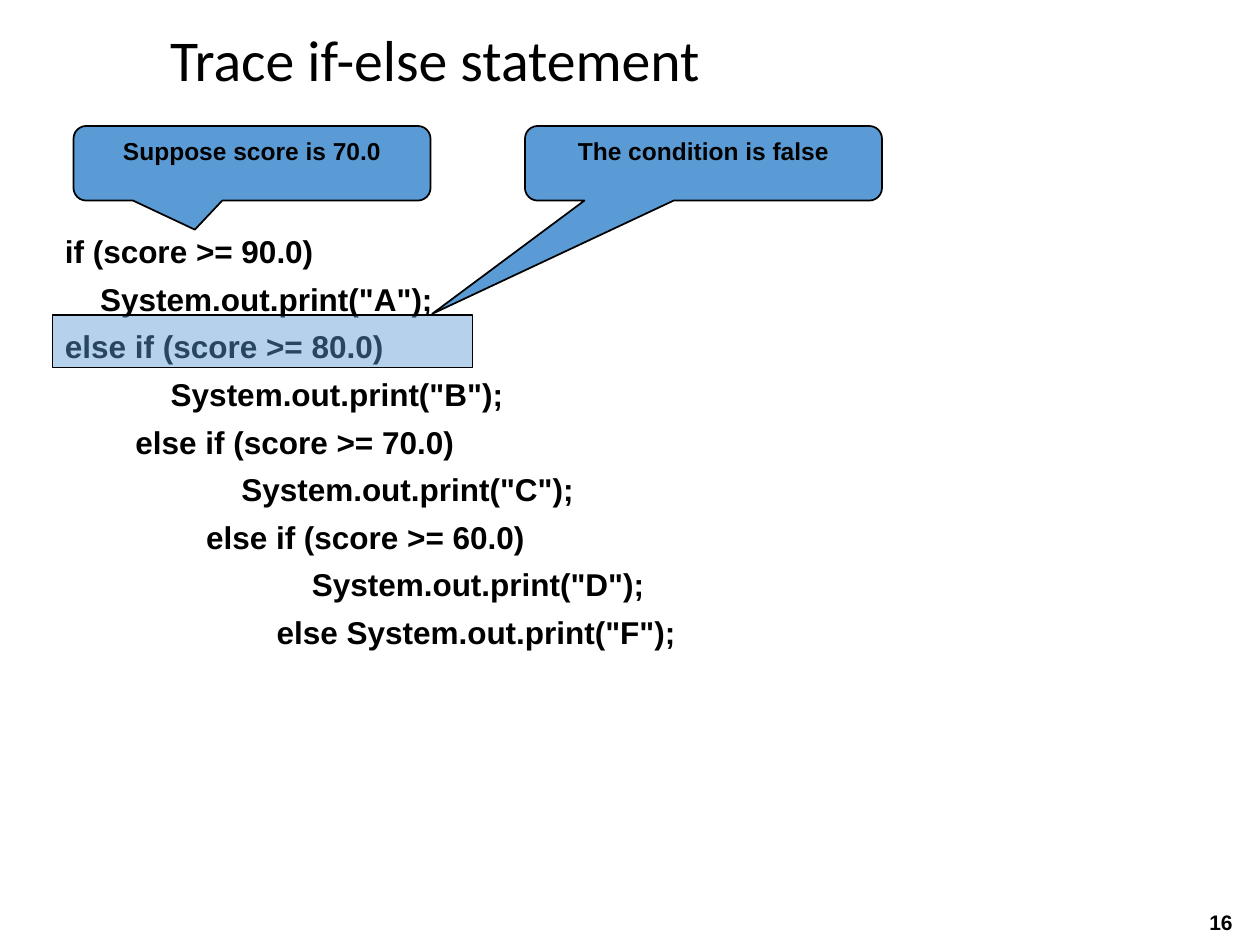
from dataclasses import dataclass

from lxml import etree
from pptx import Presentation, util as u
from pptx.dml.color import RGBColor
from pptx.enum import shapes, text
from pptx.oxml.ns import qn


@dataclass(frozen=True)
class Theme:
    ink: RGBColor = RGBColor.from_string("000000")
    accent: RGBColor = RGBColor.from_string("5B9BD5")
    title_font: str = "Calibri"
    body_font: str = "Arial"
    title_size: int = 33
    code_size: int = 18
    callout_size: int = 14
    number_size: int = 12
    line_width: int = 1


def apply(target, values):
    for name, value in values.items():
        setattr(target, name, value)


class SlideBuilder:
    COLUMNS, ROWS = 24, 18
    INDENT = 0.28

    def __init__(self, presentation, theme):
        self.theme = theme
        self.column = presentation.slide_width / self.COLUMNS
        self.row = presentation.slide_height / self.ROWS
        self.slide = presentation.slides.add_slide(presentation.slide_layouts[5])

    def box(self, left, top, width, height):
        return [round(left * self.column), round(top * self.row),
                round(width * self.column), round(height * self.row)]

    def add_words(self, paragraph, words, size, font=None, bold=True, **layout):
        run = paragraph.add_run()
        run.text = words
        apply(run.font, {"name": font or self.theme.body_font,
                         "size": u.Pt(size), "bold": bold})
        run.font.color.rgb = self.theme.ink
        apply(paragraph, layout)

    def title(self, words, *place):
        shape = self.slide.shapes.title
        apply(shape, dict(zip(("left", "top", "width", "height"), self.box(*place))))
        apply(shape.text_frame, {"vertical_anchor": text.MSO_ANCHOR.MIDDLE,
                                 "auto_size": text.MSO_AUTO_SIZE.NONE})
        self.add_words(shape.text_frame.paragraphs[0], words, self.theme.title_size,
                       self.theme.title_font, False,
                       alignment=text.PP_ALIGN.LEFT, line_spacing=0.9)

    def text_box(self, lines, size, *place, **layout):
        frame = self.slide.shapes.add_textbox(*self.box(*place)).text_frame
        apply(frame, {"word_wrap": True,
                      "auto_size": text.MSO_AUTO_SIZE.SHAPE_TO_FIT_TEXT})
        for index, (level, words) in enumerate(lines):
            paragraph = frame.add_paragraph() if index else frame.paragraphs[0]
            self.add_words(paragraph, words, size, **layout)
            if level:
                margin = u.Inches(level * self.INDENT)
                paragraph._p.get_or_add_pPr().set("marL", str(margin))

    def filled_shape(self, kind, *place):
        shape = self.slide.shapes.add_shape(kind, *self.box(*place))
        shape.shadow.inherit = False
        shape.fill.solid()
        shape.fill.fore_color.rgb = self.theme.accent
        shape.line.color.rgb = self.theme.ink
        shape.line.width = u.Pt(self.theme.line_width)
        return shape

    def callout(self, words, tip, *place):
        shape = self.filled_shape(shapes.MSO_SHAPE.ROUNDED_RECTANGULAR_CALLOUT, *place)
        for index, value in enumerate((*tip, 0.17)):
            shape.adjustments[index] = value
        apply(shape.text_frame, {"word_wrap": True,
                                 "vertical_anchor": text.MSO_ANCHOR.TOP})
        self.add_words(shape.text_frame.paragraphs[0], words, self.theme.callout_size,
                       alignment=text.PP_ALIGN.CENTER)

    def highlight(self, opacity, *place):
        shape = self.filled_shape(shapes.MSO_SHAPE.RECTANGLE, *place)
        color = shape._element.spPr.find(qn("a:solidFill"))[0]
        etree.SubElement(color, qn("a:alpha")).set("val", str(opacity * 1000))


CODE = [
    (0, "if (score >= 90.0)"),
    (1, 'System.out.print("A");'),
    (0, "else if (score >= 80.0)"),
    (3, 'System.out.print("B");'),
    (2, "else if (score >= 70.0)"),
    (5, 'System.out.print("C");'),
    (4, "else if (score >= 60.0)"),
    (7, 'System.out.print("D");'),
    (6, 'else System.out.print("F");'),
]


def main():
    presentation = Presentation()
    apply(presentation, {"slide_width": u.Inches(10), "slide_height": u.Inches(7.5)})
    theme = Theme()
    builder = SlideBuilder(presentation, theme)
    builder.text_box([(0, "16")], theme.number_size, 22.8, 17.2, 1.2, 0.72,
                     space_before=u.Pt(10.5))
    builder.title("Trace if-else statement", 3, 0, 21, 2.4)
    builder.text_box(CODE, theme.code_size, 1, 4.27, 17.2, 8.25,
                     line_spacing=1.05, space_before=u.Pt(4.5))
    builder.callout("Suppose score is 70.0", (-0.16, 0.89), 1.4, 2.4, 6.8, 1.42)
    builder.highlight(45, 1, 6, 8, 1)
    builder.callout("The condition is false", (-0.76, 2.02), 10, 2.4, 6.8, 1.42)
    presentation.save("out.pptx")


if __name__ == "__main__":
    main()
